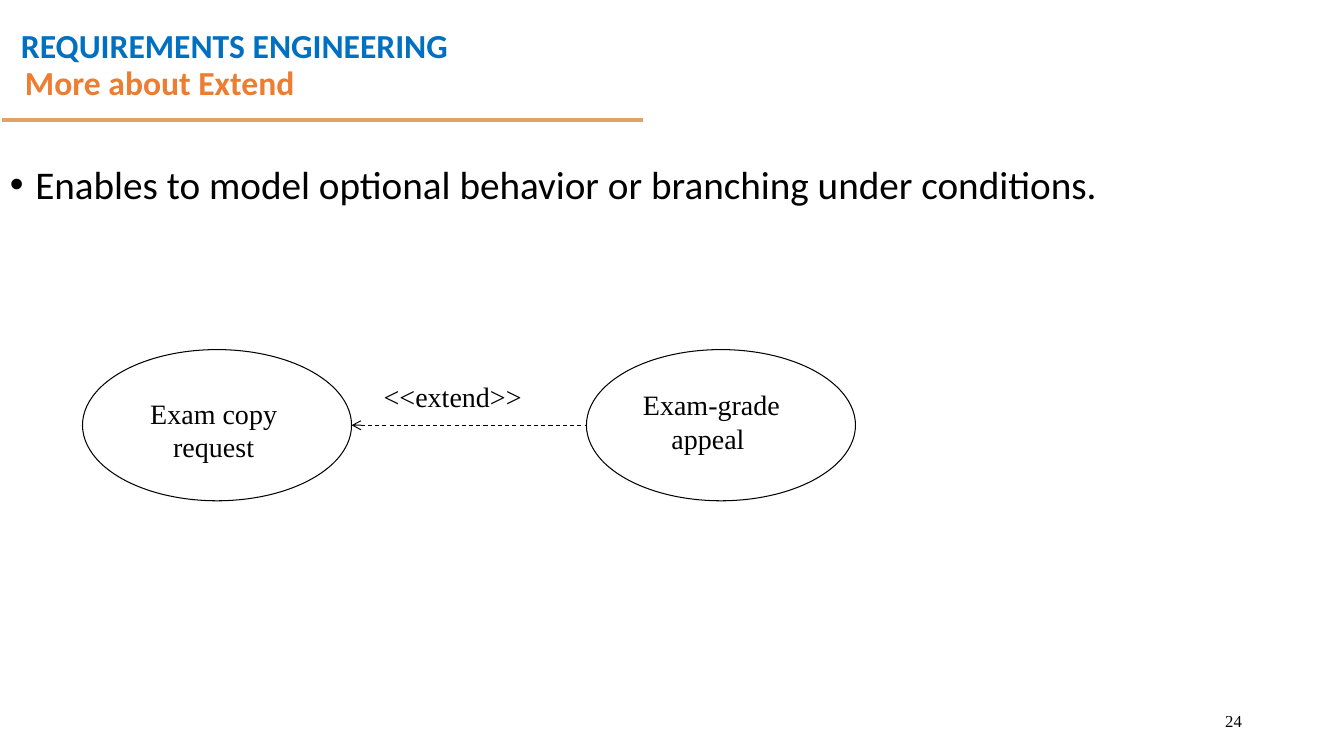
from dataclasses import dataclass

from lxml.etree import SubElement
from pptx import Presentation
from pptx.dml.color import RGBColor
from pptx.enum.dml import MSO_LINE
from pptx.enum.shapes import MSO_CONNECTOR, MSO_SHAPE
from pptx.enum.text import MSO_ANCHOR, PP_ALIGN
from pptx.oxml.ns import qn
from pptx.util import Cm, Pt


@dataclass(frozen=True)
class Theme:
    blue: str = "0070C0"
    orange: str = "ED7D31"
    rule: str = "DFA267"
    black: str = "000000"
    heading_font: str = "Calibri"
    diagram_font: str = "Times New Roman"
    heading_size: int = 24
    body_size: int = 28
    diagram_size: int = 20
    number_size: int = 12


THEME = Theme()
HEADING = {"name": THEME.heading_font, "size": Pt(THEME.heading_size), "bold": True}
BODY = {"name": THEME.heading_font, "size": Pt(THEME.body_size)}
DIAGRAM = {"name": THEME.diagram_font, "size": Pt(THEME.diagram_size)}
NUMBER = {"name": THEME.diagram_font, "size": Pt(THEME.number_size)}

OVAL_WIDTH, OVAL_HEIGHT, OVAL_TOP = 6.78, 3.81, 8.81
LEFT_OVAL, RIGHT_OVAL = 2.08, 14.78


def apply_format(target, values):
    for name, value in values.items():
        setattr(target, name, value)


def add_text(slide, text, box, font, color=THEME.black, paragraph_format=None,
             anchor=MSO_ANCHOR.TOP, wrap=True):
    shape = slide.shapes.add_textbox(*map(Cm, box))
    apply_format(shape.text_frame, {"word_wrap": wrap, "vertical_anchor": anchor})
    paragraph = shape.text_frame.paragraphs[0]
    apply_format(paragraph, paragraph_format or {})
    run = paragraph.add_run()
    run.text = text
    apply_format(run.font, font)
    run.font.color.rgb = RGBColor.from_string(color)
    return paragraph


def add_bullet(paragraph):
    properties = paragraph._p.get_or_add_pPr()
    indent = Cm(0.64)
    properties.set("marL", str(indent))
    properties.set("indent", str(-indent))
    SubElement(properties, qn("a:buFont"), typeface="Arial")
    SubElement(properties, qn("a:buChar"), char="•")


def add_line(slide, start, end, y, color, width):
    connector = slide.shapes.add_connector(
        MSO_CONNECTOR.STRAIGHT, Cm(start), Cm(y), Cm(end), Cm(y))
    connector.line.color.rgb = RGBColor.from_string(color)
    connector.line.width = Pt(width)
    SubElement(connector._element.spPr, qn("a:effectLst"))
    return connector


def add_dashed_arrow(slide, tip, tail, y):
    connector = add_line(slide, tip, tail, y, THEME.black, 0.75)
    connector.line.dash_style = MSO_LINE.DASH
    SubElement(connector.line._get_or_add_ln(), qn("a:headEnd"), type="arrow")


def add_use_case(slide, left, text, label_box):
    shape = slide.shapes.add_shape(
        MSO_SHAPE.OVAL, *map(Cm, (left, OVAL_TOP, OVAL_WIDTH, OVAL_HEIGHT)))
    shape.shadow.inherit = False
    shape.fill.background()
    shape.line.color.rgb = RGBColor.from_string(THEME.black)
    shape.line.width = Pt(0.75)
    add_text(slide, text, label_box, DIAGRAM,
             paragraph_format={"alignment": PP_ALIGN.CENTER})


def main():
    presentation = Presentation()
    apply_format(presentation, {"slide_width": Cm(33.87), "slide_height": Cm(19.05)})
    slide = presentation.slides.add_slide(presentation.slide_layouts[6])

    add_text(slide, "REQUIREMENTS ENGINEERING", (0.28, 0, 11.71, 1.63), HEADING,
             THEME.blue, {"line_spacing": 1.5})
    add_line(slide, 0.05, 16.21, 3.02, THEME.rule, 3)
    add_text(slide, "24", (23.93, 17.65, 7.62, 1.02), NUMBER,
             paragraph_format={"alignment": PP_ALIGN.RIGHT}, anchor=MSO_ANCHOR.MIDDLE)
    add_text(slide, "More about Extend", (0.38, 1.37, 29.21, 1.55), HEADING,
             THEME.orange, {"line_spacing": 0.9}, MSO_ANCHOR.MIDDLE)
    add_bullet(add_text(
        slide, "Enables to model optional behavior or branching under conditions.",
        (0, 4.04, 29.21, 12.09), BODY, paragraph_format={"line_spacing": 0.9}))

    add_use_case(slide, LEFT_OVAL, "Exam copy request", (2.92, 9.86, 4.93, 1.96))
    add_use_case(slide, RIGHT_OVAL, "Exam-grade appeal ", (15.34, 9.65, 5.18, 1.96))
    add_dashed_arrow(slide, LEFT_OVAL + OVAL_WIDTH, RIGHT_OVAL,
                     OVAL_TOP + OVAL_HEIGHT / 2)
    add_text(slide, "<<extend>>", (9.42, 9.45, 4.01, 1.12), DIAGRAM, wrap=False)

    presentation.save("out.pptx")


if __name__ == "__main__":
    main()
